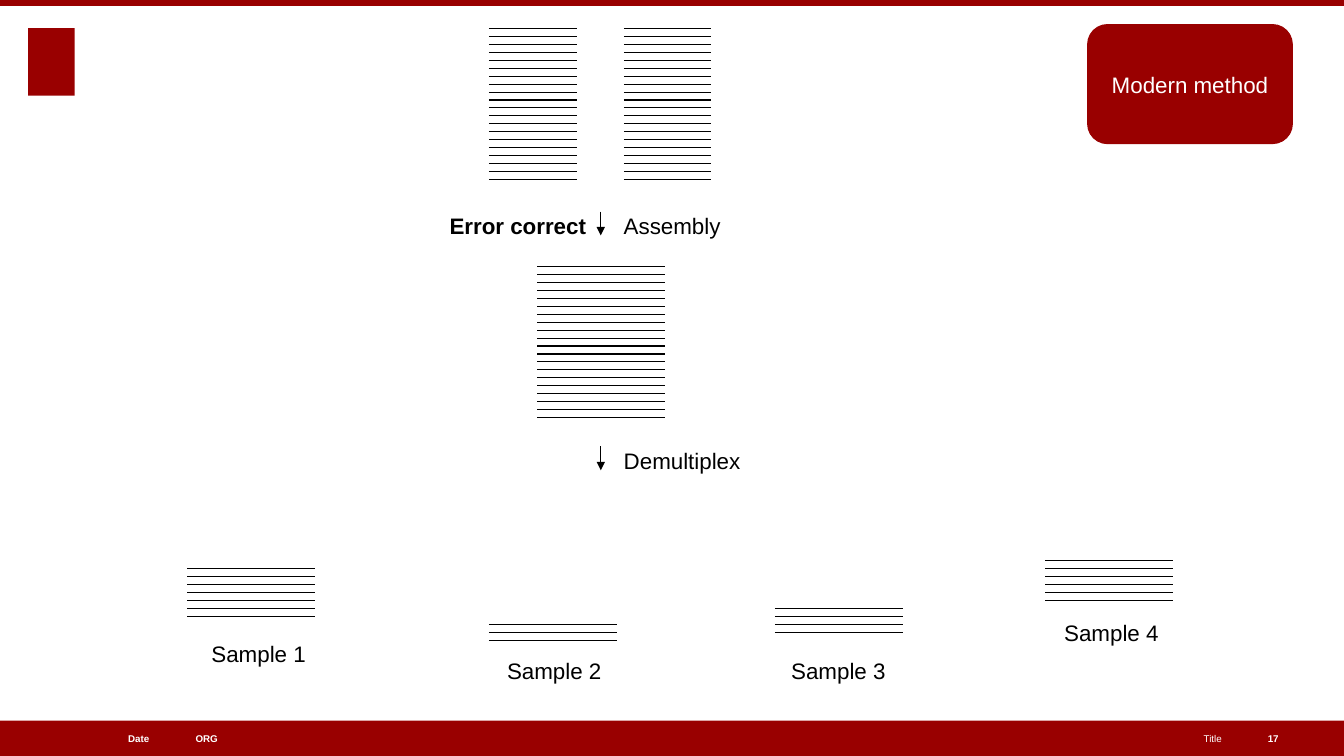
from lxml.etree import SubElement
from pptx import Presentation
from pptx.dml.color import RGBColor
from pptx.enum.shapes import MSO_CONNECTOR, MSO_SHAPE
from pptx.enum.text import MSO_ANCHOR, PP_ALIGN
from pptx.oxml.ns import qn
from pptx.util import Cm, Pt

COLORS = {"red": "990000", "black": "000000", "white": "FFFFFF"}
WIDTH, HEIGHT = 33.87, 19.05
READ_GAP = 0.2
LABEL_HEIGHT = 0.69
ARROW_LENGTH = 0.6


def rgb(name):
    """Return the named colour."""
    return RGBColor.from_string(COLORS[name])


def format_text(tf, text, size=16, color="black", bold=False,
                align=PP_ALIGN.LEFT, margin=0, wrap=False):
    """Write one formatted paragraph into a text frame."""
    tf.word_wrap = wrap
    tf.vertical_anchor = MSO_ANCHOR.MIDDLE
    tf.margin_left = tf.margin_right = Cm(margin)
    tf.margin_top = tf.margin_bottom = Cm(margin / 2)
    p = tf.paragraphs[0]
    p.alignment = align
    r = p.add_run()
    r.text = text
    r.font.name = "Arial"
    r.font.size = Pt(size)
    r.font.bold = bold
    r.font.color.rgb = rgb(color)


def add_text(s, text, left, top, width, height=LABEL_HEIGHT, **fmt):
    """Add a text box holding one paragraph."""
    sp = s.shapes.add_textbox(Cm(left), Cm(top), Cm(width), Cm(height))
    format_text(sp.text_frame, text, **fmt)


def add_block(s, left, top, width, height, kind=MSO_SHAPE.RECTANGLE):
    """Add a plain red shape."""
    sp = s.shapes.add_shape(kind, Cm(left), Cm(top), Cm(width), Cm(height))
    sp.shadow.inherit = False
    sp.fill.solid()
    sp.fill.fore_color.rgb = rgb("red")
    sp.line.fill.background()
    return sp


def add_line(s, x1, y1, x2, y2, arrow=False):
    """Add a thin black line, with an arrowhead at its end if asked."""
    cxn = s.shapes.add_connector(MSO_CONNECTOR.STRAIGHT,
                                 Cm(x1), Cm(y1), Cm(x2), Cm(y2))
    cxn.line.color.rgb = rgb("black")
    cxn.line.width = Pt(0.75)
    if arrow:
        SubElement(cxn.line._get_or_add_ln(), qn("a:tailEnd"), type="triangle")
    SubElement(cxn._element.spPr, qn("a:effectLst"))


def add_reads(s, left, top, width, count):
    """Draw a stack of evenly spaced sequence reads."""
    for i in range(count):
        y = top + i * READ_GAP
        add_line(s, left, y, left + width, y)


def add_step(s, left, top, text, width):
    """Draw a down arrow with the step name to its right."""
    add_line(s, left, top, left, top + ARROW_LENGTH, arrow=True)
    add_text(s, text, left + 0.58, top, width)


def add_sample(s, left, top, count, name, indent, label_top):
    """Draw one sample's reads with its name below."""
    add_reads(s, left, top, 3.23, count)
    add_text(s, name, left + indent, label_top, 2.41)


def add_method_badge(s, left, top, width, height):
    """Draw the rounded badge naming the method."""
    sp = add_block(s, left, top, width, height, MSO_SHAPE.ROUNDED_RECTANGLE)
    sp.line.color.rgb = rgb("red")
    sp.line.width = Pt(0.75)
    format_text(sp.text_frame, "Modern method", color="white",
                align=PP_ALIGN.CENTER, margin=0.25, wrap=True)


def add_footer(s, top, height):
    """Draw the bottom band and its four fields."""
    add_block(s, 0, top, WIDTH, height)
    for text, left, width, bold, align in (
            ("ORG", 4.93, 9.45, True, PP_ALIGN.LEFT),
            ("Date", 0.69, 3.07, True, PP_ALIGN.RIGHT),
            ("Title", 15.52, 15.27, False, PP_ALIGN.RIGHT),
            ("17", 31.95, 1.19, True, PP_ALIGN.LEFT)):
        add_text(s, text, left, top, width, height, size=7, color="white",
                 bold=bold, align=align, wrap=True)


def main():
    """Build the slide and save it."""
    prs = Presentation()
    prs.slide_width, prs.slide_height = Cm(WIDTH), Cm(HEIGHT)
    s = prs.slides.add_slide(prs.slide_layouts[6])

    add_block(s, 0.71, 0.71, 1.17, 1.7)
    add_block(s, 0, 0, WIDTH, 0.15)
    add_footer(s, 18.16, 0.89)
    add_method_badge(s, 27.41, 0.62, 5.16, 3)

    for left in (12.32, 15.72):
        add_reads(s, left, 0.72, 2.21, 20)
    add_text(s, "Error correct", 11.33, 5.33, 3.48, bold=True)
    add_step(s, 15.14, 5.33, "Assembly", 2.46)
    add_reads(s, 13.54, 6.72, 3.23, 20)
    add_step(s, 15.14, 11.25, "Demultiplex", 2.97)

    for sample in ((4.72, 14.33, 7, "Sample 1", 0.61, 16.13),
                   (12.32, 15.73, 3, "Sample 2", 0.46, 16.54),
                   (19.53, 15.33, 4, "Sample 3", 0.41, 16.54),
                   (26.34, 14.13, 6, "Sample 4", 0.48, 15.6)):
        add_sample(s, *sample)

    prs.save("out.pptx")


if __name__ == "__main__":
    main()
